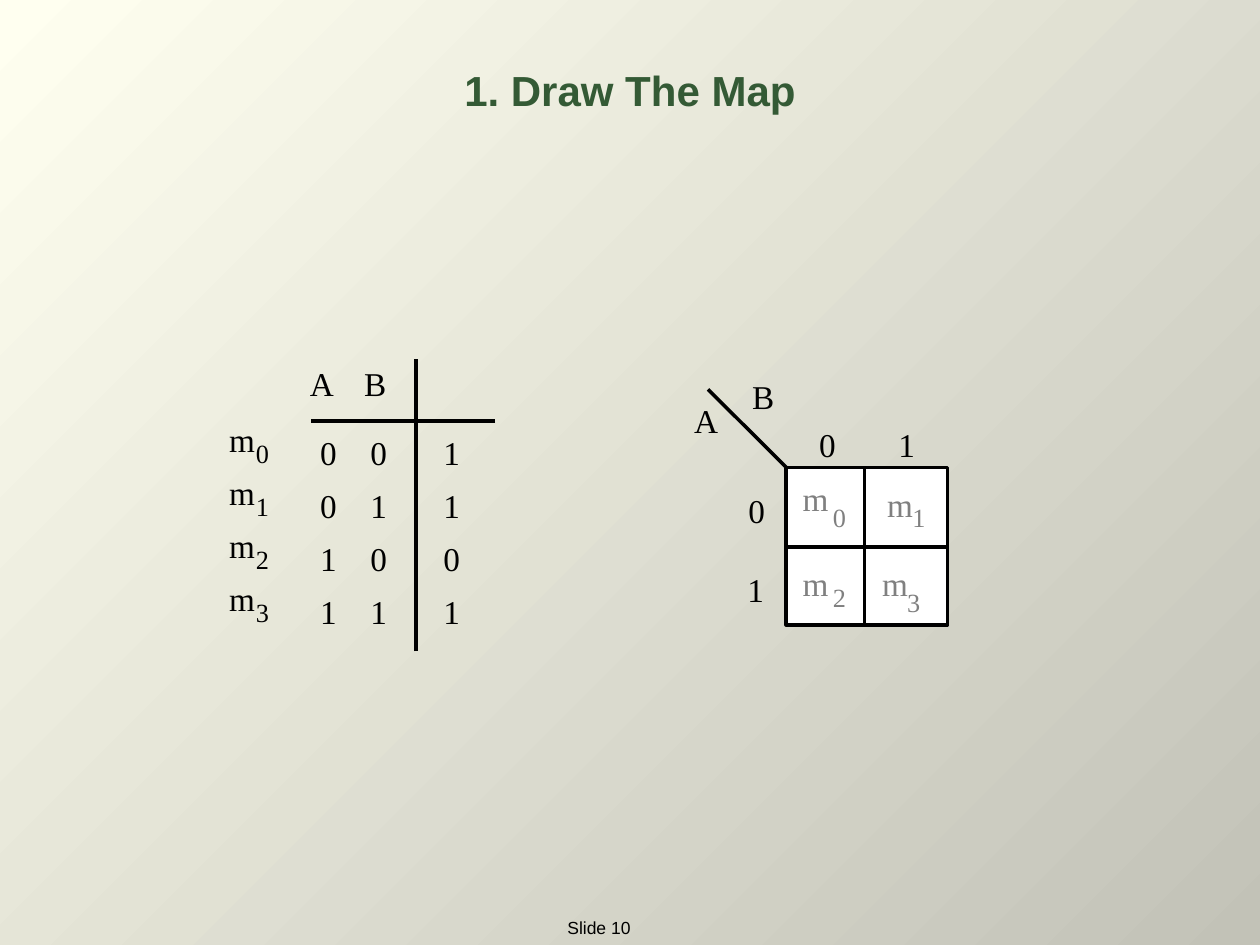
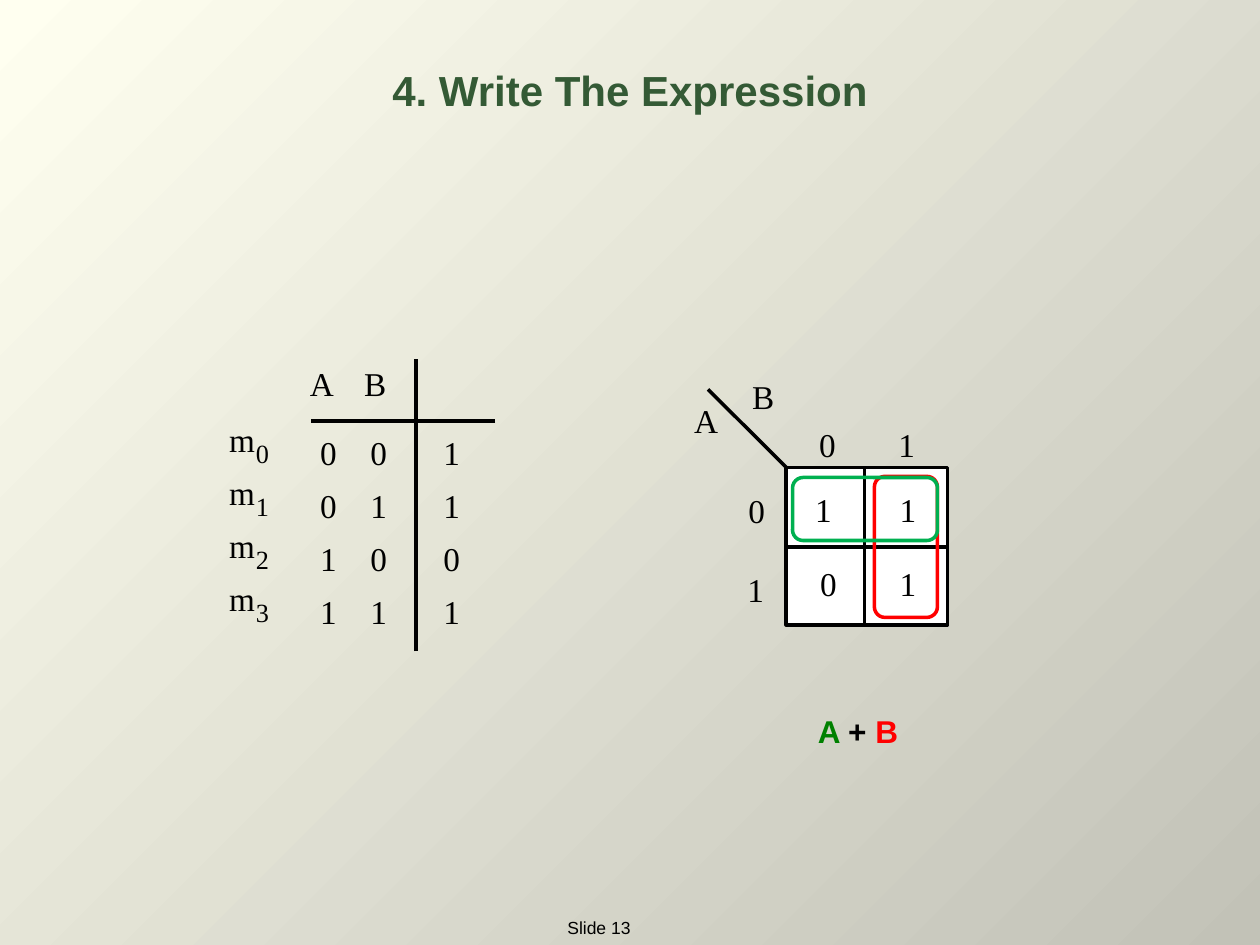
from lxml.etree import SubElement
from pptx import Presentation
from pptx.dml.color import RGBColor
from pptx.enum.shapes import MSO_CONNECTOR, MSO_SHAPE
from pptx.enum.text import MSO_ANCHOR, MSO_AUTO_SIZE, PP_ALIGN
from pptx.oxml.ns import qn
from pptx.util import Pt

COLORS = {
    "shade": "C2C2B7",
    "ivory": "FFFFF0",
    "title": "345A35",
    "ink": "000000",
    "cell": "FFFFFF",
    "muted": "808080",
    "red_loop": "FF0000",
    "green_loop": "00B050",
    "green_term": "008000",
}
SANS = "Arial"
SERIF = "Times New Roman"
ROW_STEP = 30.25
TRUTH_ROWS = ["001", "011", "100", "111"]
TRUTH_COLUMNS = [182.9, 211.7, 253.4]
MINTERM_SPOTS = [
    (458.6, 273.6, 475.9, 286.6),
    (506.9, 276.5, 521.3, 286.6),
    (458.6, 321.8, 475.9, 331.9),
    (504, 321.8, 518.4, 334.8),
]
OUTPUT_SPOTS = [(465.8, 279.4), (514.1, 279.4), (468.7, 321.8), (514.1, 321.8)]


def rgb(color):
    return RGBColor.from_string(COLORS[color])


def style_run(run, font, size, color, bold=False):
    run.font.name = font
    run.font.size = Pt(size)
    run.font.bold = bold
    run.font.color.rgb = rgb(color)


def add_symbol(slide, symbol, left, top, size=19, color="ink"):
    label = slide.shapes.add_textbox(Pt(left), Pt(top), Pt(size * 0.75), Pt(size * 1.2))
    frame = label.text_frame
    frame.margin_left = frame.margin_top = frame.margin_right = frame.margin_bottom = 0
    frame.word_wrap = False
    frame.auto_size = MSO_AUTO_SIZE.SHAPE_TO_FIT_TEXT
    frame.text = symbol
    style_run(frame.paragraphs[0].runs[0], SERIF, size, color)


def add_minterm(slide, index, left, top, index_left, index_top, color="ink"):
    add_symbol(slide, "m", left, top, color=color)
    add_symbol(slide, str(index), index_left, index_top, 15, color)


def add_centred_text(slide, pieces, box, size, bold=False):
    textbox = slide.shapes.add_textbox(*map(Pt, box))
    frame = textbox.text_frame
    frame.word_wrap = True
    frame.vertical_anchor = MSO_ANCHOR.MIDDLE
    paragraph = frame.paragraphs[0]
    paragraph.alignment = PP_ALIGN.CENTER
    for words, color in pieces:
        run = paragraph.add_run()
        run.text = words
        style_run(run, SANS, size, color, bold)


def add_rule(slide, *ends):
    rule = slide.shapes.add_connector(MSO_CONNECTOR.STRAIGHT, *map(Pt, ends))
    rule.line.color.rgb = rgb("ink")
    rule.line.width = Pt(2)
    SubElement(rule._element.spPr, qn("a:effectLst"))


def add_outline(slide, preset, box, line, fill=None):
    outline = slide.shapes.add_shape(preset, *map(Pt, box))
    outline.shadow.inherit = False
    outline.line.color.rgb = rgb(line)
    outline.line.width = Pt(2)
    if fill:
        outline.fill.solid()
        outline.fill.fore_color.rgb = rgb(fill)
    else:
        outline.fill.background()


def add_truth_table(slide):
    add_rule(slide, 283, 240.5, 177.8, 240.5)
    add_rule(slide, 237.6, 372.2, 237.6, 205.2)
    add_symbol(slide, "A", 177.1, 207.4)
    add_symbol(slide, "B", 208.1, 207.4)
    for index, bits in enumerate(TRUTH_ROWS):
        drop = index * ROW_STEP
        add_minterm(slide, index, 131, 239.8 + drop, 146.2, 249.8 + drop)
        for bit, left in zip(bits, TRUTH_COLUMNS):
            add_symbol(slide, bit, left, 247 + drop)


def add_map_grid(slide):
    add_outline(slide, MSO_SHAPE.RECTANGLE, (449.3, 267.1, 92.2, 90), "ink", "cell")
    add_rule(slide, 541.4, 312.5, 448.6, 312.5)
    add_rule(slide, 493.9, 357.8, 493.9, 267.1)
    add_rule(slide, 404.6, 222.5, 449.3, 267.1)
    add_symbol(slide, "A", 396.7, 229)
    add_symbol(slide, "B", 429.8, 215.3)
    for value in range(2):
        add_symbol(slide, str(value), 427.7 - 0.7 * value, 280 + 45.4 * value)
        add_symbol(slide, str(value), 468 + 45.4 * value, 242.6)


def add_map_slide(prs, title, number):
    slide = prs.slides.add_slide(prs.slide_layouts[6])
    add_centred_text(slide, [(f"Slide {number}", "ink")], (282.2, 520.6, 120.2, 19.4), 10)
    add_centred_text(slide, [(title, "title")], (0, 24, 720, 54), 24, True)
    add_map_grid(slide)
    add_truth_table(slide)
    return slide


def set_background(prs):
    fill = prs.slide_master.background.fill
    fill.gradient()
    fill.gradient_angle = 135
    for stop, color in zip(fill.gradient_stops, ("shade", "ivory")):
        stop.color.rgb = rgb(color)


def main():
    prs = Presentation()
    prs.slide_width, prs.slide_height = Pt(720), Pt(540)
    set_background(prs)

    draw_map = add_map_slide(prs, "1. Draw The Map", 10)
    for index, spot in enumerate(MINTERM_SPOTS):
        add_minterm(draw_map, index, *spot, color="muted")

    expression = add_map_slide(prs, "4. Write The Expression", 13)
    for bits, spot in zip(TRUTH_ROWS, OUTPUT_SPOTS):
        add_symbol(expression, bits[-1], *spot)
    rounded = MSO_SHAPE.ROUNDED_RECTANGLE
    add_outline(expression, rounded, (499.7, 272.2, 36, 80.6), "red_loop")
    add_outline(expression, rounded, (452.9, 272.9, 82.8, 36), "green_loop")
    terms = [("A ", "green_term"), ("+ ", "ink"), ("B", "red_loop")]
    add_centred_text(expression, terms, (413.3, 403.2, 154, 28.8), 18, True)

    prs.save("out.pptx")


if __name__ == "__main__":
    main()
